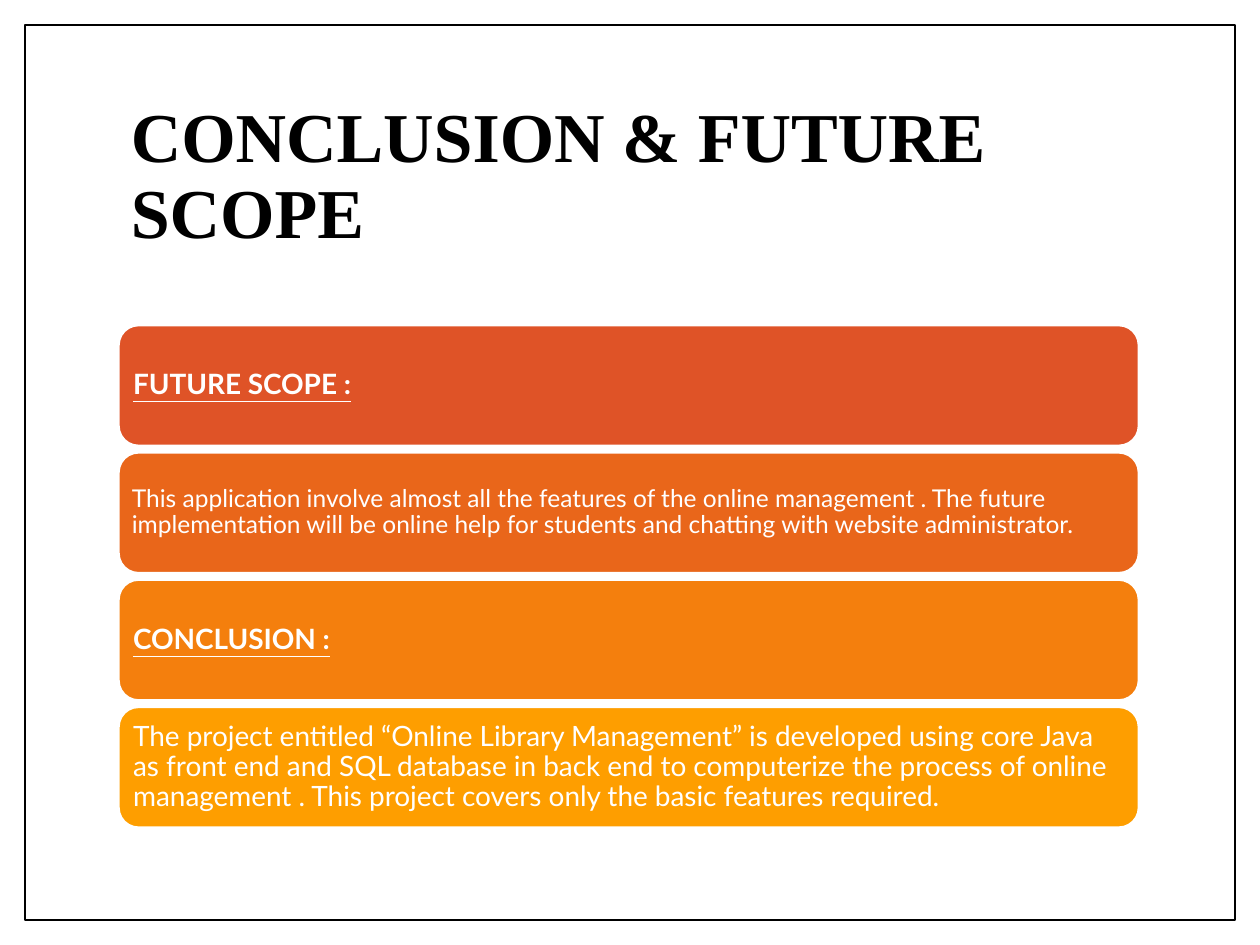
import pptx
import pptx.util
import pptx.dml.color
import pptx.enum.shapes
import pptx.enum.text

RGB = pptx.dml.color.RGBColor
SHAPE = pptx.enum.shapes.MSO_SHAPE
BLACK = RGB(0x00, 0x00, 0x00)
WHITE = RGB(0xFF, 0xFF, 0xFF)
RED = RGB(0xDF, 0x53, 0x27)
RUST = RGB(0xE9, 0x66, 0x1A)
ORANGE = RGB(0xF4, 0x7F, 0x0D)
AMBER = RGB(0xFE, 0x9E, 0x00)

WIDE, HIGH = 10, 7.5
LEFT, SPAN = 0.94, 8.1      # content column
TOP, STEP, TALL = 2.58, 1.01, 0.96      # rows of bars


class Deck:
    """Holds the style and the current slide."""
    head, body = "Times New Roman", "Lato"

    def __init__(self):
        self.file = pptx.Presentation()
        self.file.slide_width = pptx.util.Inches(WIDE)
        self.file.slide_height = pptx.util.Inches(HIGH)
        self.slide = self.file.slides.add_slide(self.file.slide_layouts[6])

    def shape(self, kind, box, fill, line, width):
        item = self.slide.shapes.add_shape(kind, *map(pptx.util.Inches, box))
        item.shadow.inherit = False
        item.fill.solid()
        item.fill.fore_color.rgb = fill
        item.line.color.rgb = line
        item.line.width = pptx.util.Pt(width)
        return item

    def label(self, item, text, face, size, color, bold, pad):
        frame = item.text_frame
        frame.word_wrap = True
        frame.vertical_anchor = pptx.enum.text.MSO_ANCHOR.MIDDLE
        frame.margin_left = frame.margin_right = pptx.util.Inches(pad)
        frame.margin_top = frame.margin_bottom = pptx.util.Inches(pad)
        line = frame.paragraphs[0]
        line.text = text
        line.alignment = pptx.enum.text.PP_ALIGN.LEFT
        line.line_spacing = 0.9
        line.font.name = face
        line.font.size = pptx.util.Pt(size)
        line.font.color.rgb = color
        line.font.bold = bold
        return line

    def border(self, gap):
        box = (gap, gap, WIDE - 2 * gap, HIGH - 2 * gap)
        self.shape(SHAPE.RECTANGLE, box, WHITE, BLACK, 1)

    def title(self, text):
        box = (LEFT, 0.67, SPAN, 1.48)
        item = self.slide.shapes.add_textbox(*map(pptx.util.Inches, box))
        self.label(item, text, self.head, 40, BLACK, True, 0.1)

    def bar(self, row, fill, text, size, strong):
        box = (LEFT, TOP + row * STEP, SPAN, TALL)
        item = self.shape(SHAPE.ROUNDED_RECTANGLE, box, fill, WHITE, 1.5)
        pad = 0.07 if size > 14 else 0.06
        line = self.label(item, text, self.body, size, WHITE, strong, pad)
        line.font.underline = strong


deck = Deck()

# Frame and title
deck.border(0.2)
deck.title("CONCLUSION & FUTURE SCOPE")

# Stacked bars: fill, text, size, strong or not
BARS = [
    (RED, "FUTURE SCOPE :", 16, True),
    (RUST, "This application involve almost all the features of the online "
     "management . The future implementation will be online help for "
     "students and chatting with website administrator.", 14, False),
    (ORANGE, "CONCLUSION :", 16, True),
    (AMBER, "The project entitled \u201cOnline Library Management\u201d is "
     "developed using core Java as front end and SQL database in back end "
     "to computerize the process of online management . This project covers "
     "only the basic features required.", 16, False),
]
for row, bar in enumerate(BARS):
    deck.bar(row, *bar)

deck.file.save("out.pptx")
